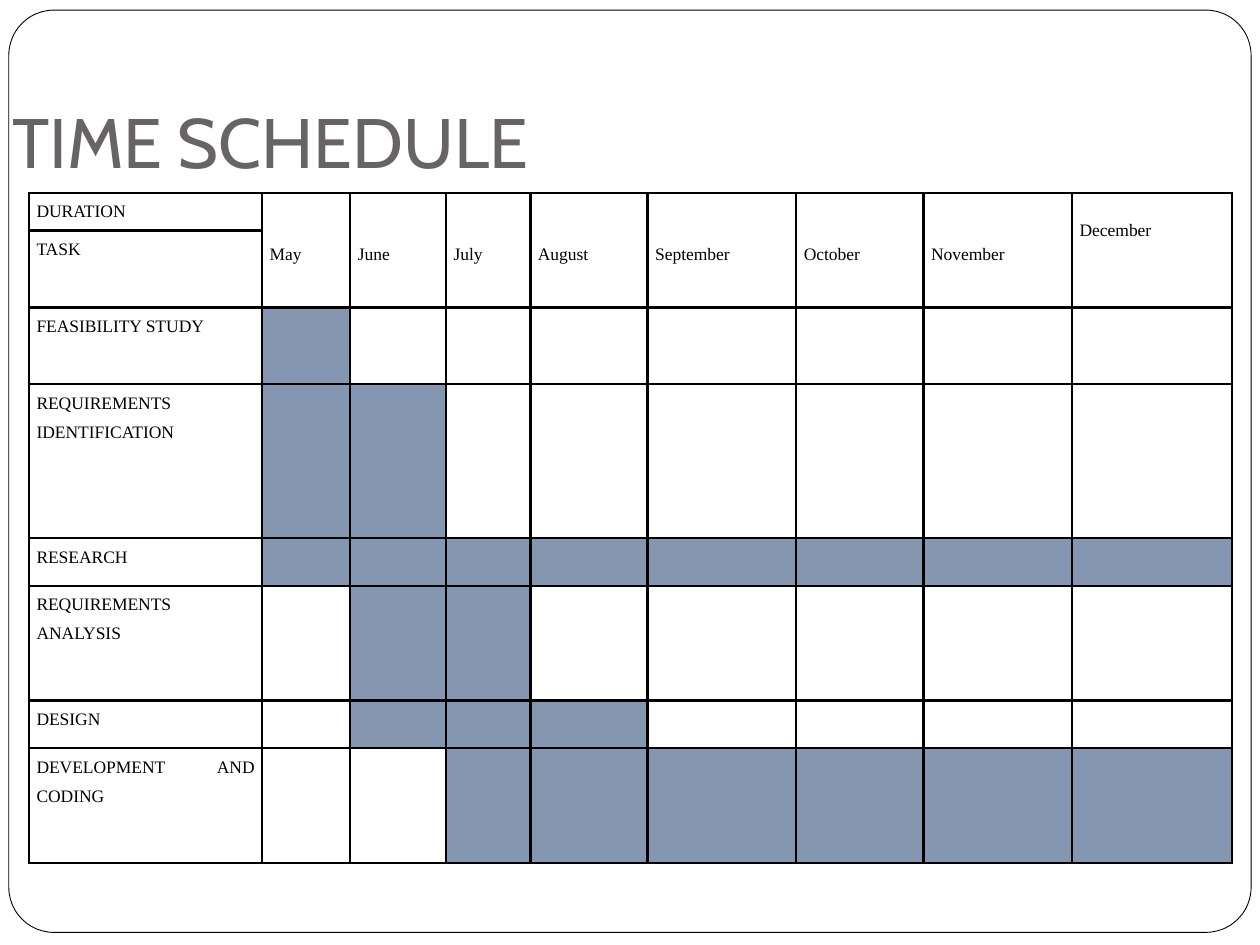
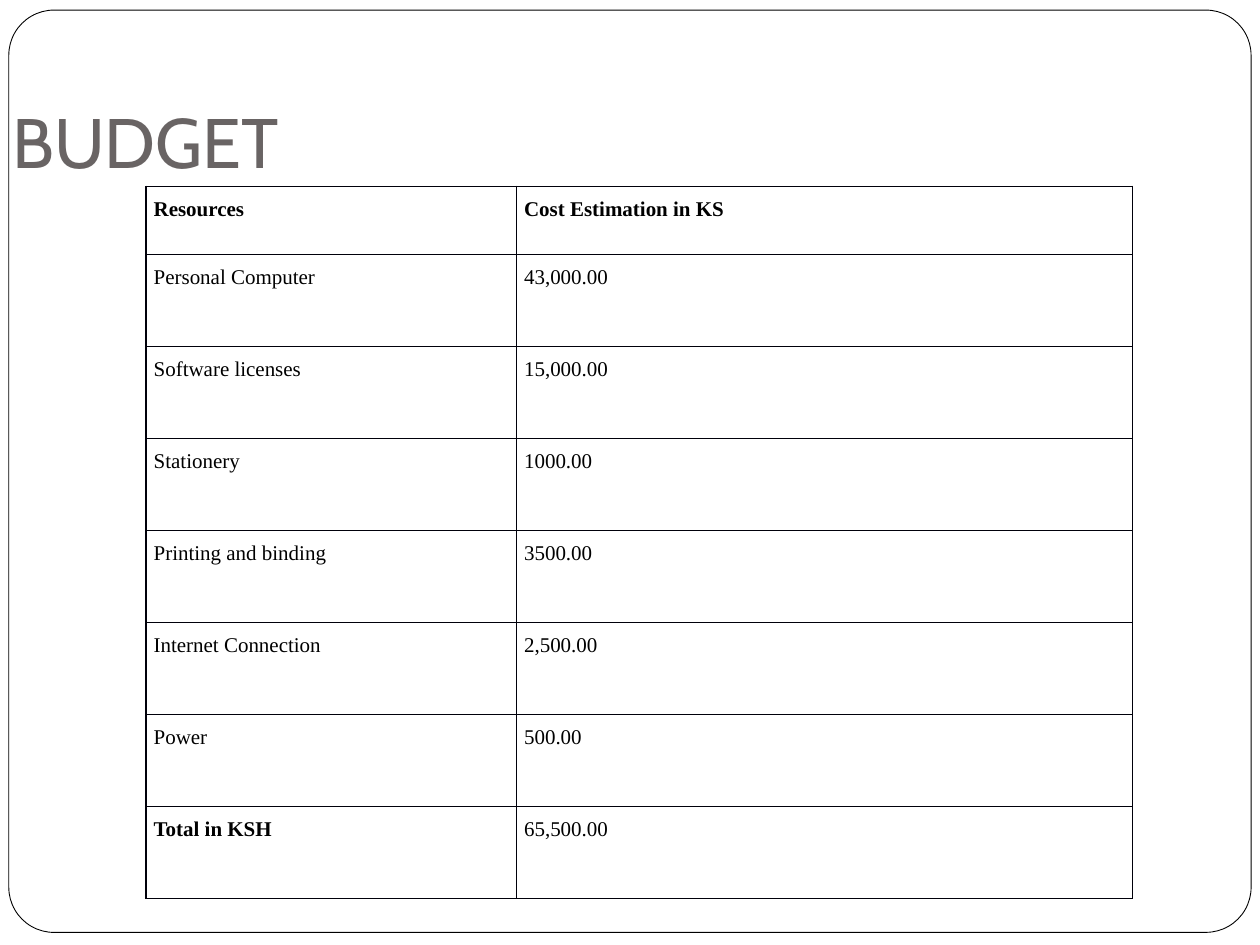
import pptx
import pptx.util
import pptx.dml.color
import pptx.enum.shapes
import pptx.enum.text
from lxml import etree

Inches = pptx.util.Inches
Pt = pptx.util.Pt
RGBColor = pptx.dml.color.RGBColor
ANCHOR = pptx.enum.text.MSO_ANCHOR

WHITE = RGBColor(0xFF, 0xFF, 0xFF)
BLACK = RGBColor(0x00, 0x00, 0x00)
BUDGET_LINE = RGBColor(0x00, 0x00, 0x0A)
TITLE_GREY = RGBColor(0x69, 0x64, 0x64)
BAR_BLUE = RGBColor(0x84, 0x96, 0xB0)
TITLE_FONT = "Cabin"
BODY_FONT = "Times New Roman"
DRAWING_NS = "http://schemas.openxmlformats.org/drawingml/2006/main"

MONTHS = ["May", "June", "July", "August", "September", "October",
          "November", "December"]
# Task, first and last active month (numbered from 1, May)
TASKS = [
    ("FEASIBILITY STUDY", 1, 1),
    ("REQUIREMENTS\nIDENTIFICATION", 1, 2),
    ("RESEARCH", 1, 8),
    ("REQUIREMENTS\nANALYSIS", 2, 3),
    ("DESIGN", 2, 4),
    ("DEVELOPMENT AND CODING", 3, 8),
]
BUDGET = [
    ("Resources", "Cost Estimation in KS"),
    ("Personal Computer", "43,000.00"),
    ("Software licenses", "15,000.00"),
    ("Stationery", "1000.00"),
    ("Printing and binding", "3500.00"),
    ("Internet Connection", "2,500.00"),
    ("Power", "500.00"),
    ("Total in KSH", "65,500.00"),
]


def add_slide(prs, title):
    """Blank slide with the rounded frame and the title."""
    s = prs.slides.add_slide(prs.slide_layouts[6])
    frame = s.shapes.add_shape(
        pptx.enum.shapes.MSO_SHAPE.ROUNDED_RECTANGLE,
        Inches(0.07), Inches(0.08), Inches(9.86), Inches(7.32))
    frame.adjustments[0] = 0.049
    frame.shadow.inherit = False
    frame.fill.solid()
    frame.fill.fore_color.rgb = WHITE
    frame.line.color.rgb = BLACK
    frame.line.width = Pt(0.5)

    sp = s.shapes.add_textbox(0, Inches(0.3), Inches(9), Inches(1.25))
    tf = sp.text_frame
    tf.word_wrap = True
    tf.vertical_anchor = ANCHOR.BOTTOM
    tf.margin_bottom = Inches(0.1)
    p = tf.paragraphs[0]
    p.text = title
    p.font.name = TITLE_FONT
    p.font.size = Pt(40)
    p.font.color.rgb = TITLE_GREY
    return s


def set_borders(cell, color, widths):
    """Draw the left, right, top and bottom borders, widths in points."""
    tc_pr = cell._tc.get_or_add_tcPr()
    for i, (side, width) in enumerate(zip("LRTB", widths)):
        ln = etree.Element(f"{{{DRAWING_NS}}}ln{side}", w=str(Pt(width)))
        fill = etree.SubElement(ln, f"{{{DRAWING_NS}}}solidFill")
        etree.SubElement(fill, f"{{{DRAWING_NS}}}srgbClr", val=str(color))
        tc_pr.insert(i, ln)


def add_grid(s, left, top, col_widths, row_heights, color, width):
    """Plain white table with even borders."""
    table = s.shapes.add_table(
        len(row_heights), len(col_widths), Inches(left), Inches(top),
        Inches(sum(col_widths)), Inches(sum(row_heights))).table
    table.first_row = False
    table.horz_banding = False
    for col, w in zip(table.columns, col_widths):
        col.width = Inches(w)
    for row, h in zip(table.rows, row_heights):
        row.height = Inches(h)
    for cell in table.iter_cells():
        cell.margin_left = cell.margin_right = Inches(0.06)
        cell.margin_top = cell.margin_bottom = 0
        set_borders(cell, color, [width] * 4)
        fill_cell(cell, WHITE)
    return table


def fill_cell(cell, color):
    cell.fill.solid()
    cell.fill.fore_color.rgb = color


def write_cell(cell, text, size, bold=False):
    cell.text = text
    for p in cell.text_frame.paragraphs:
        p.alignment = pptx.enum.text.PP_ALIGN.JUSTIFY
        p.line_spacing = 1.5
        p.font.name = BODY_FONT
        p.font.size = Pt(size)
        p.font.bold = bold
        p.font.color.rgb = BLACK


def add_schedule(prs):
    s = add_slide(prs, "TIME SCHEDULE")
    table = add_grid(
        s, 0.23, 1.53,
        [1.85, 0.7, 0.76, 0.67, 0.93, 1.18, 1.01, 1.18, 1.27],
        [0.3, 0.61, 0.61, 1.22, 0.38, 0.91, 0.38, 0.91], BLACK, 1.5)

    # Header: each month spans both rows
    write_cell(table.cell(0, 0), "DURATION", 10)
    write_cell(table.cell(1, 0), "TASK", 10)
    for col, month in enumerate(MONTHS, start=1):
        cell = table.cell(0, col)
        cell.merge(table.cell(1, col))
        write_cell(cell, month, 10)
        cell.vertical_anchor = ANCHOR.MIDDLE

    # The last month sits higher, with thinner outer borders
    december = table.cell(0, len(MONTHS))
    december.vertical_anchor = ANCHOR.TOP
    december.margin_top = Inches(0.15)
    tc_pr = december._tc.tcPr
    for side in "RT":
        tc_pr.find(f"{{{DRAWING_NS}}}ln{side}").set("w", str(Pt(1)))

    # Tasks and their bars
    for row, (task, first, last) in enumerate(TASKS, start=2):
        write_cell(table.cell(row, 0), task, 10)
        for col in range(first, last + 1):
            fill_cell(table.cell(row, col), BAR_BLUE)


def add_budget(prs):
    s = add_slide(prs, "BUDGET")
    table = add_grid(s, 1.16, 1.48, [2.94, 4.89],
                     [0.54] + [0.73] * (len(BUDGET) - 1), BUDGET_LINE, 1)
    for row, (resource, cost) in enumerate(BUDGET):
        is_header = row == 0
        is_total = row == len(BUDGET) - 1
        write_cell(table.cell(row, 0), resource, 12, is_header or is_total)
        write_cell(table.cell(row, 1), cost, 12, is_header)


def main():
    prs = pptx.Presentation()
    prs.slide_width = Inches(10)
    prs.slide_height = Inches(7.5)
    add_schedule(prs)
    add_budget(prs)
    prs.save("out.pptx")


main()
